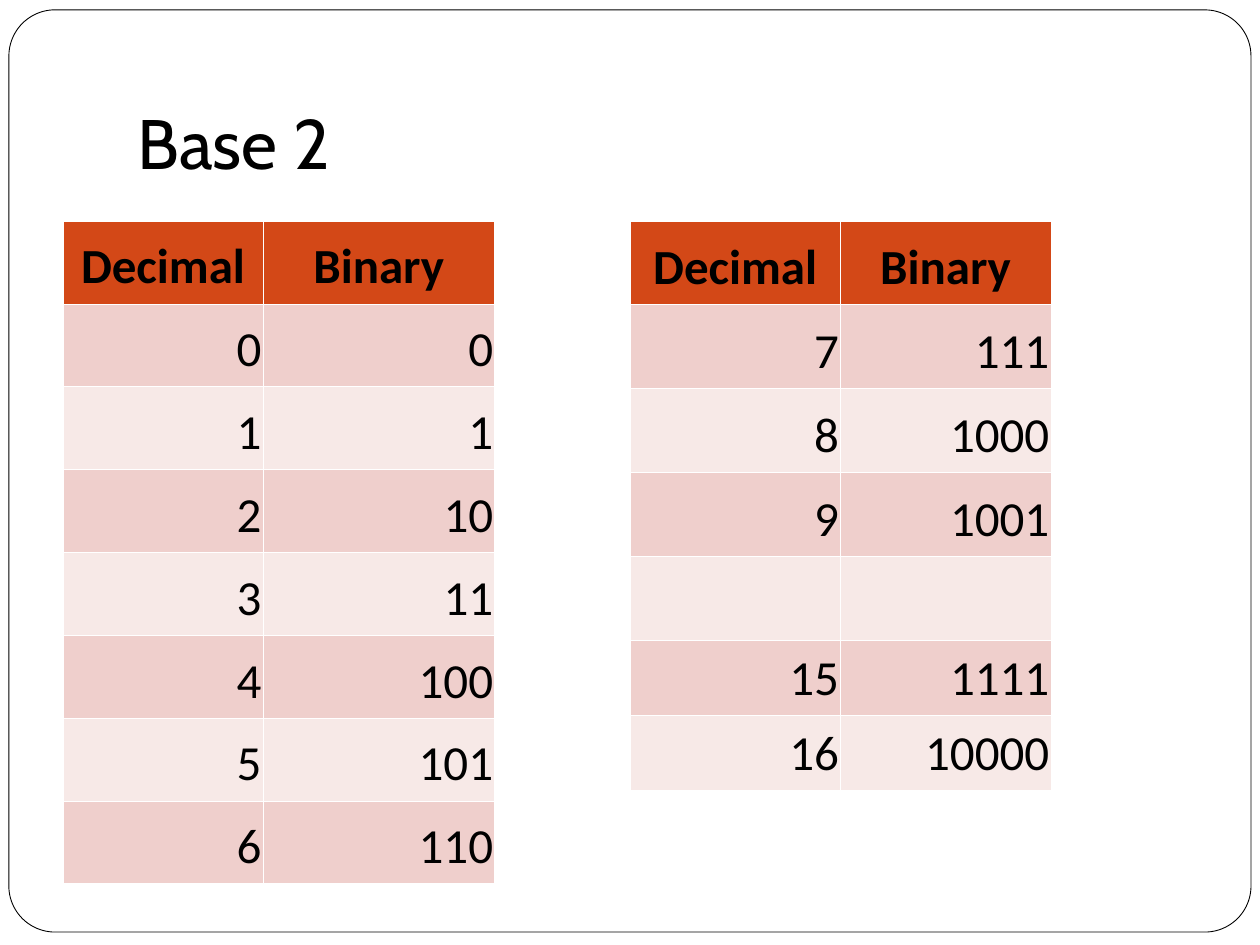
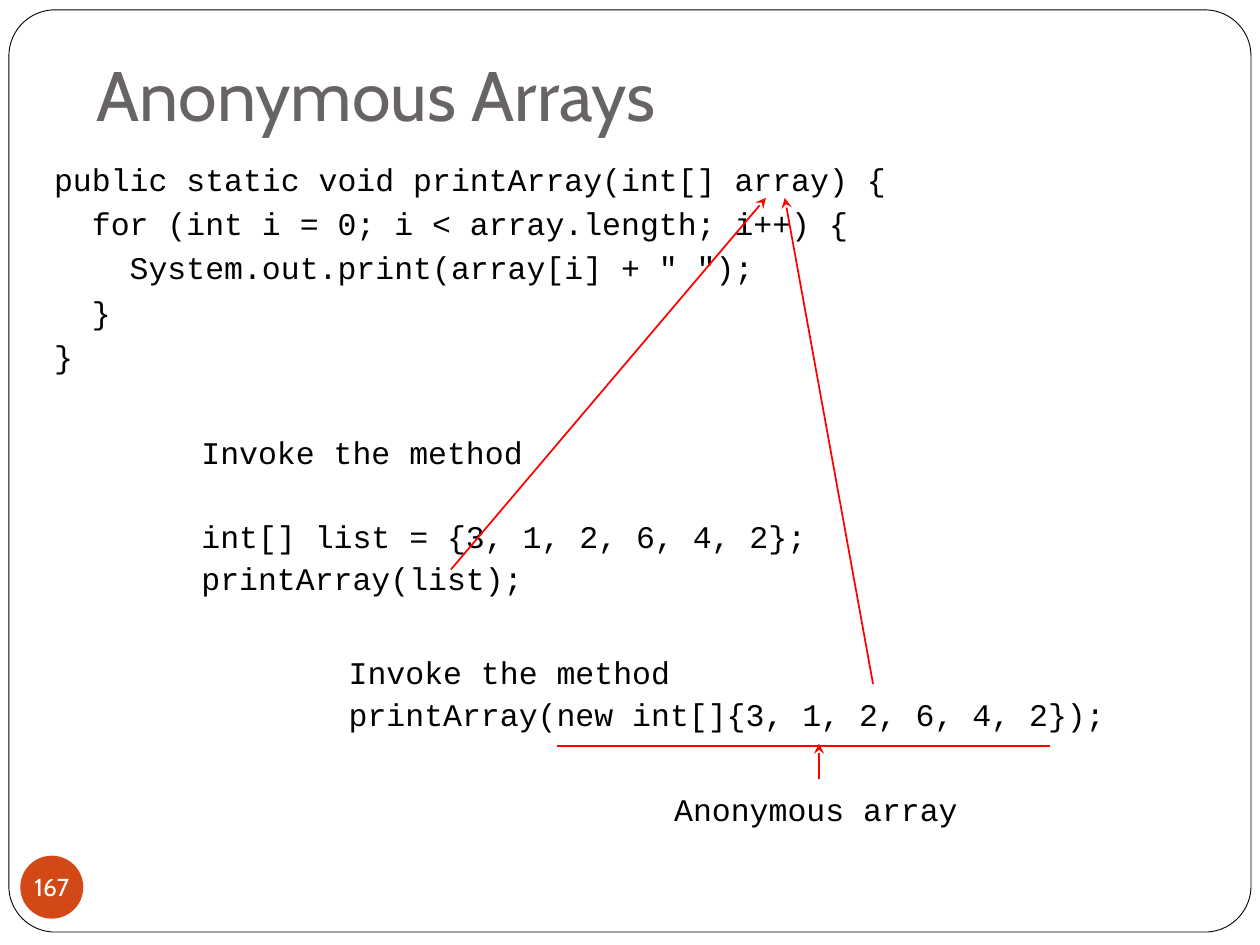
from lxml.etree import SubElement as Sub
from pptx import Presentation
from pptx.dml.color import RGBColor as Color
from pptx.enum.shapes import MSO_CONNECTOR as Link, MSO_SHAPE as Kind
from pptx.enum.text import MSO_ANCHOR as Anchor, MSO_AUTO_SIZE as Auto, PP_ALIGN as Align
from pptx.oxml import parse_xml
from pptx.oxml.ns import nsdecls, qn
from pptx.util import Cm, Pt

# Content; all places and sizes are in cm
HEADS = ("Decimal", "Binary")
LOW = [(str(n), f"{n:b}") for n in range(7)]
HIGH = [(str(n), f"{n:b}") for n in (7, 8, 9)] + [("", "")] + [(str(n), f"{n:b}") for n in (15, 16)]
TABLES = [  # left, top, column widths, row heights, rows
    (1.27, 4.45, (4.03, 4.67), [1.67] * 8, [HEADS] + LOW),
    (12.7, 4.45, (4.24, 4.24), [1.69] * 5 + [1.48] * 2, [HEADS] + HIGH),
]

METHOD = [
    "public static void printArray(int[] array) {",
    "  for (int i = 0; i < array.length; i++) {",
    '    System.out.print(array[i] + " ");',
    "  }",
    "}",
]
CALLS = [  # place, lines, line that starts a new group
    ((3.81, 8.69, 19.25, 3.61),
     ["Invoke the method", "int[] list = {3, 1, 2, 6, 4, 2};", "printArray(list);"], 1),
    ((6.78, 13.13, 18.5, 3.61),
     ["Invoke the method", "printArray(new int[]{3, 1, 2, 6, 4, 2});"], None),
    ((13.34, 15.88, 6.55, 0.84), ["Anonymous array"], None),
]
LINES = [  # from, to, arrow
    ((9.09, 11.48), (15.44, 3.99), True),
    ((17.6, 13.79), (15.82, 3.99), True),
    ((16.51, 15.7), (16.51, 14.99), True),
    ((11.23, 15.04), (21.16, 15.04), False),
]

# Shared look
BLACK, WHITE, GREY, RED, RUST = "000000", "FFFFFF", "696464", "FF0000", "D34817"
BANDS = ("F7E9E7", "EFCFCC")
HEAD = {"name": "Cabin", "size": Pt(40)}
CODE = {"name": "Courier New", "size": Pt(18)}
CELL = {"name": "Calibri", "size": Pt(28)}
PAGE = {"name": "Cabin", "size": Pt(14)}
GAP, GROUP = 4.5, 28.2


def tint(code):
    return Color.from_string(code)


def apply(item, values):
    for key, value in values.items():
        setattr(item, key, value)


def style(para, font, code=BLACK, **more):
    apply(para, more)
    apply(para.font, font)
    para.font.color.rgb = tint(code)


def place(shape, spot):
    apply(shape, dict(zip(("left", "top", "width", "height"), map(Cm, spot))))


def inset(item, left, top, right, base):
    sides = ("left", "top", "right", "bottom")
    apply(item, {f"margin_{s}": Cm(v) for s, v in zip(sides, (left, top, right, base))})


def paint(shape, fill=None, line=None):
    shape.shadow.inherit = False
    if fill:
        shape.fill.solid()
        shape.fill.fore_color.rgb = tint(fill)
    else:
        shape.fill.background()
    if line:
        shape.line.color.rgb = tint(line)
        shape.line.width = Pt(0.5)
    else:
        shape.line.fill.background()


def start(deck, layout, text, spot, code, side):
    """Add a slide with its frame and title."""
    slide = deck.slides.add_slide(deck.slide_layouts[layout])
    frame = slide.shapes.add_shape(Kind.ROUNDED_RECTANGLE, *map(Cm, (0.18, 0.2, 25.04, 18.59)))
    frame.adjustments[0] = 0.05
    paint(frame, line=BLACK)
    title = slide.shapes.title
    place(title, spot)
    body = title.text_frame
    body.text = text
    apply(body, {"word_wrap": True, "auto_size": Auto.NONE, "vertical_anchor": Anchor.BOTTOM})
    inset(body, side, 0.13, side, 0.25)
    style(body.paragraphs[0], HEAD, code, alignment=Align.LEFT)
    return slide


def edge(cell):
    props = cell._tc.get_or_add_tcPr()
    for spot, side in enumerate("LRTB"):
        props.insert(spot, parse_xml(
            f'<a:ln{side} {nsdecls("a")} w="762"><a:solidFill>'
            f'<a:srgbClr val="{WHITE}"/></a:solidFill></a:ln{side}>'))


def grid(slide, left, top, wide, high, rows):
    size = (left, top, sum(wide), sum(high))
    table = slide.shapes.add_table(len(rows), len(wide), *map(Cm, size)).table
    for col, width in zip(table.columns, wide):
        col.width = Cm(width)
    for r, (row, height) in enumerate(zip(rows, high)):
        table.rows[r].height = Cm(height)
        for c, text in enumerate(row):
            cell = table.cell(r, c)
            cell.text = text
            cell.vertical_anchor = Anchor.BOTTOM
            inset(cell, 0.03, 0.13, 0.03, 0.13)
            cell.fill.solid()
            cell.fill.fore_color.rgb = tint(BANDS[r % 2] if r else RUST)
            style(cell.text_frame.paragraphs[0], CELL | {"bold": r == 0},
                  alignment=Align.RIGHT if r else Align.CENTER, line_spacing=1.04)
            edge(cell)


def write(box, lines, gap, group=None):
    """Fill a box with code lines; the group line gets a wider gap."""
    body = box.text_frame
    apply(body, {"word_wrap": True, "auto_size": Auto.NONE, "vertical_anchor": Anchor.TOP})
    inset(body, 0.25, 0.13, 0.25, 0.13)
    for n, text in enumerate(lines):
        para = body.add_paragraph() if n else body.paragraphs[0]
        para.text = text
        props = para._p.get_or_add_pPr()
        props.set("marL", "0")
        props.set("indent", "0")
        Sub(props, qn("a:buNone"))
        space = 0 if n == 0 else GROUP if n == group else gap
        style(para, CODE, line_spacing=0.9, space_before=Pt(space), alignment=Align.LEFT)


def draw(slide, begin, end, arrow):
    line = slide.shapes.add_connector(Link.STRAIGHT, *map(Cm, begin + end))
    line.line.color.rgb = tint(RED)
    line.line.width = Pt(1)
    if arrow:
        Sub(line.line._get_or_add_ln(), qn("a:tailEnd"), type="stealth")
    Sub(line._element.spPr, qn("a:effectLst"))


def main():
    deck = Presentation()
    deck.slide_width, deck.slide_height = Cm(25.4), Cm(19.05)

    # Number tables
    slide = start(deck, 5, "Base 2", (2.54, 0.76, 21.59, 3.18), BLACK, 0.23)
    for table in TABLES:
        grid(slide, *table)

    # Code with arrows
    slide = start(deck, 1, "Anonymous Arrays", (1.7, 0.64, 21.59, 2.34), GREY, 0.25)
    code = slide.placeholders[1]
    place(code, (0.84, 3.18, 17.78, 4.65))
    write(code, METHOD, 5.8)
    for spot, lines, group in CALLS:
        write(slide.shapes.add_textbox(*map(Cm, spot)), lines, GAP, group)
    for line in LINES:
        draw(slide, *line)

    # Page badge
    badge = slide.shapes.add_shape(Kind.OVAL, *map(Cm, (0.41, 17.25, 1.27, 1.27)))
    paint(badge, RUST)
    body = badge.text_frame
    body.text = "167"
    apply(body, {"word_wrap": False, "vertical_anchor": Anchor.MIDDLE})
    inset(body, 0, 0, 0, 0)
    style(body.paragraphs[0], PAGE, WHITE, alignment=Align.CENTER)

    deck.save("out.pptx")


if __name__ == "__main__":
    main()
